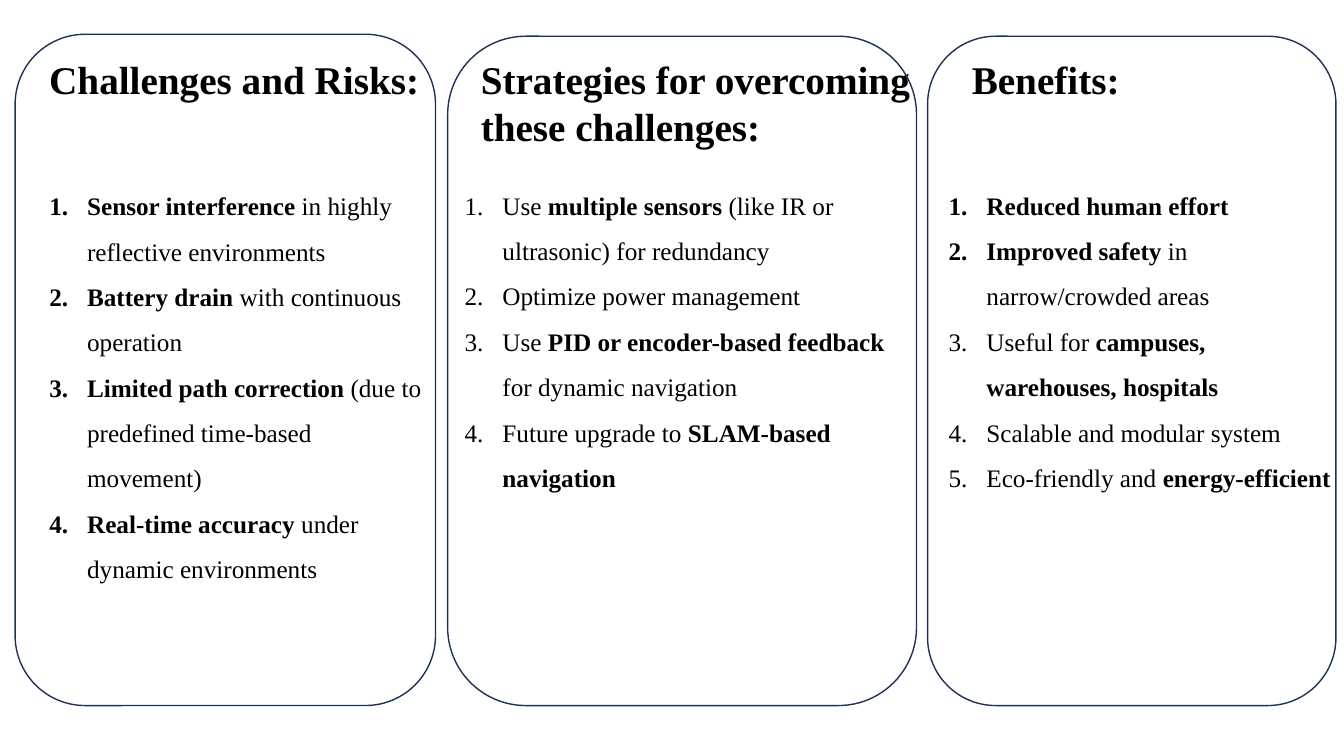
from lxml import etree
from pptx import Presentation
from pptx.dml.color import RGBColor
from pptx.enum.shapes import MSO_SHAPE
from pptx.enum.text import MSO_ANCHOR, MSO_AUTO_SIZE
from pptx.oxml.ns import qn
from pptx.util import Inches, Pt

ROUND = MSO_SHAPE.ROUNDED_RECTANGLE
TOP, MIDDLE = MSO_ANCHOR.TOP, MSO_ANCHOR.MIDDLE
GROW = MSO_AUTO_SIZE.SHAPE_TO_FIT_TEXT
COLS, ROWS = 1333, 750
HEAD_Y, LIST_Y, FLOOR = 50, 169, 700
HANG = Pt(27)
COLORS = {"ink": "000000", "edge": "1E3256"}
HEAD = {"name": "Times New Roman", "size": Pt(28)}
BODY = {"name": "Times New Roman", "size": Pt(18)}

PANELS = [
    {
        "card": (15, 34, 417),
        "head": (39, 394, 57),
        "list": (39, 389, 415, TOP),
        "title": "Challenges and Risks:",
        "items": [
            "**Sensor interference** in highly reflective environments",
            "**Battery drain** with continuous operation",
            "**Limited path correction **(due to predefined time-based movement)",
            "**Real-time accuracy** under dynamic environments",
        ],
    },
    {
        "card": (444, 36, 465),
        "head": (467, 465, 104),
        "list": (451, 445, 324, MIDDLE),
        "title": "Strategies for overcoming these challenges:",
        "items": [
            "Use **multiple sensors** (like IR or ultrasonic) for redundancy",
            "Optimize power management",
            "Use **PID or encoder-based feedback** for dynamic navigation",
            "Future upgrade to **SLAM-based navigation**",
        ],
    },
    {
        "card": (920, 36, 405),
        "head": (954, 210, 57),
        "list": (931, 402, 324, MIDDLE),
        "title": "Benefits:",
        "items": [
            "**Reduced human effort**",
            "**Improved safety** in narrow/crowded areas",
            "Useful for **campuses, warehouses, hospitals**",
            "Scalable and modular system",
            "Eco-friendly and **energy-efficient**",
        ],
    },
]

deck = Presentation()
deck.slide_width, deck.slide_height = Inches(13.33), Inches(7.5)
slide = deck.slides.add_slide(deck.slide_layouts[6])
col, row = deck.slide_width / COLS, deck.slide_height / ROWS


def place(x, y, w, h):
    return round(x * col), round(y * row), round(w * col), round(h * row)


def write(area, lines, style, anchor=TOP):
    frame = slide.shapes.add_textbox(*place(*area)).text_frame
    layout = {"word_wrap": True, "auto_size": GROW, "vertical_anchor": anchor}
    for key, value in layout.items():
        setattr(frame, key, value)
    for i, line in enumerate(lines):
        para = frame.add_paragraph() if i else frame.paragraphs[0]
        for j, part in enumerate(line.split("**")):
            if part:
                run = para.add_run()
                run.text = part
                for key, value in {**style, "bold": j % 2 == 1}.items():
                    setattr(run.font, key, value)
                run.font.color.rgb = RGBColor.from_string(COLORS["ink"])
    return frame.paragraphs


for panel in PANELS:
    x, w, h = panel["head"]
    write((x, HEAD_Y, w, h), [f"**{panel['title']}**"], HEAD)

for panel in PANELS:
    x, y, w = panel["card"]
    card = slide.shapes.add_shape(ROUND, *place(x, y, w, FLOOR - y))
    card.shadow.inherit = False
    card.fill.background()
    card.line.color.rgb = RGBColor.from_string(COLORS["edge"])
    card.line.width = Pt(1)

for panel in PANELS:
    x, w, h, anchor = panel["list"]
    for para in write((x, LIST_Y, w, h), panel["items"], BODY, anchor):
        para.line_spacing = 1.5
        props = para._p.get_or_add_pPr()
        for key, value in {"marL": HANG, "indent": -HANG}.items():
            props.set(key, str(value))
        etree.SubElement(props, qn("a:buFont"), typeface="+mj-lt")
        etree.SubElement(props, qn("a:buAutoNum"), type="arabicPeriod")

deck.save("out.pptx")
